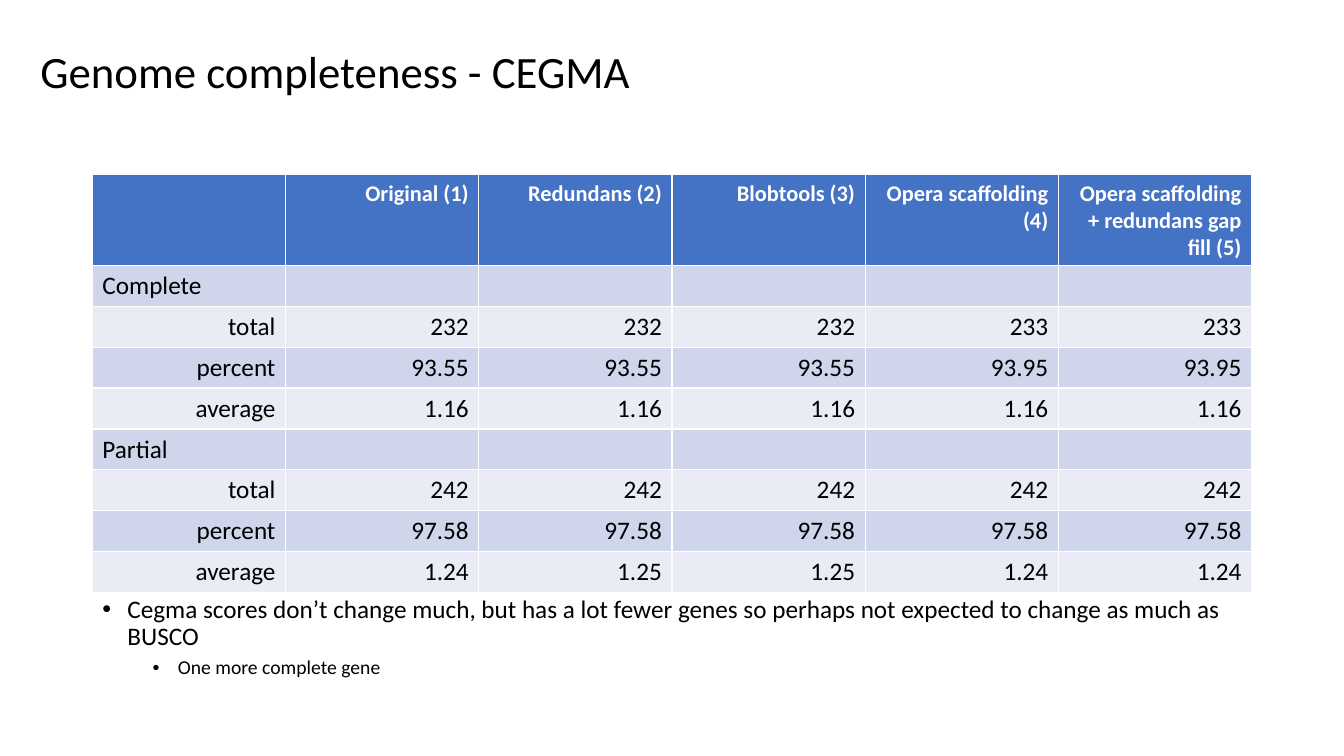
"""Build the slide on genome completeness with its CEGMA score table."""
from lxml.etree import SubElement
from pptx import Presentation
from pptx.dml.color import RGBColor
from pptx.enum.text import MSO_ANCHOR, PP_ALIGN
from pptx.oxml.ns import qn
from pptx.util import Pt

TITLE = "Genome completeness - CEGMA"
HEADER = ["", "Original (1)", "Redundans (2)", "Blobtools (3)",
          "Opera scaffolding (4)", "Opera scaffolding + redundans gap fill (5)"]
SCORES = [
    ["Complete"],
    ["total", "232", "232", "232", "233", "233"],
    ["percent", "93.55", "93.55", "93.55", "93.95", "93.95"],
    ["average", "1.16", "1.16", "1.16", "1.16", "1.16"],
    ["Partial"],
    ["total", "242", "242", "242", "242", "242"],
    ["percent", "97.58", "97.58", "97.58", "97.58", "97.58"],
    ["average", "1.24", "1.25", "1.25", "1.24", "1.24"],
]
NOTES = [
    {"text": "Cegma scores don’t change much, but has a lot fewer genes so perhaps "
             "not expected to change as much as BUSCO",
     "level": 0, "size": 18, "indent": 18, "before": 10},
    {"text": "One more complete gene", "level": 1, "size": 14, "indent": 54, "before": 5},
]
COLOURS = {"text": "000000", "header_text": "FFFFFF", "header": "4472C4",
           "odd": "CFD5EA", "even": "E9EBF5"}
FONT = "Calibri"
LEFT, WIDTH = 66, 828
TABLE_TOP, HEADER_HEIGHT, ROW_HEIGHT = 124.8, 64.8, 29.2
NOTES_TOP = 422.6
HANGING = 18


def style(para, size, colour="text", bold=False):
    """Set the font of a whole paragraph."""
    font = para.font
    font.name, font.size, font.bold = FONT, Pt(size), bold
    font.color.rgb = RGBColor.from_string(COLOURS[colour])


def add_box(page, left, top, width, height):
    """Add a wrapping text box and return its text frame."""
    frame = page.shapes.add_textbox(Pt(left), Pt(top), Pt(width), Pt(height)).text_frame
    frame.word_wrap = True
    return frame


def add_bullet(para, indent):
    """Give a paragraph a hanging round bullet."""
    props = para._p.get_or_add_pPr()
    props.set("marL", str(Pt(indent)))
    props.set("indent", str(-Pt(HANGING)))
    SubElement(props, qn("a:buFont"), typeface="Arial")
    SubElement(props, qn("a:buChar"), char="•")


def add_title(page):
    """Add the slide title."""
    frame = add_box(page, 0, 0.7, WIDTH, 104.4)
    frame.vertical_anchor = MSO_ANCHOR.MIDDLE
    frame.margin_left = Pt(28.9)
    para = frame.paragraphs[0]
    para.text, para.line_spacing = TITLE, 0.9
    style(para, 32)


def add_scores(page):
    """Add the table of scores with banded rows."""
    rows = [HEADER] + SCORES
    height = HEADER_HEIGHT + ROW_HEIGHT * len(SCORES)
    table = page.shapes.add_table(len(rows), len(HEADER), Pt(LEFT), Pt(TABLE_TOP),
                                  Pt(WIDTH), Pt(height)).table
    for index, values in enumerate(rows):
        is_header = index == 0
        table.rows[index].height = Pt(HEADER_HEIGHT if is_header else ROW_HEIGHT)
        band = "header" if is_header else "odd" if index % 2 else "even"
        for cell in table.rows[index].cells:
            cell.fill.solid()
            cell.fill.fore_color.rgb = RGBColor.from_string(COLOURS[band])
        for column, value in enumerate(values):
            para = table.cell(index, column).text_frame.paragraphs[0]
            para.text = value
            para.alignment = PP_ALIGN.LEFT if len(values) == 1 else PP_ALIGN.RIGHT
            if is_header:
                style(para, 16, "header_text", True)
            else:
                style(para, 18)


def add_notes(page):
    """Add the bulleted remarks below the table."""
    frame = add_box(page, LEFT, NOTES_TOP, WIDTH, 63.4)
    for index, note in enumerate(NOTES):
        para = frame.add_paragraph() if index else frame.paragraphs[0]
        para.text, para.level = note["text"], note["level"]
        add_bullet(para, note["indent"])
        para.line_spacing, para.space_before = 0.9, Pt(note["before"])
        style(para, note["size"])


deck = Presentation()
deck.slide_width, deck.slide_height = Pt(960), Pt(540)
page = deck.slides.add_slide(deck.slide_layouts[6])
add_title(page)
add_scores(page)
add_notes(page)
deck.save("out.pptx")
